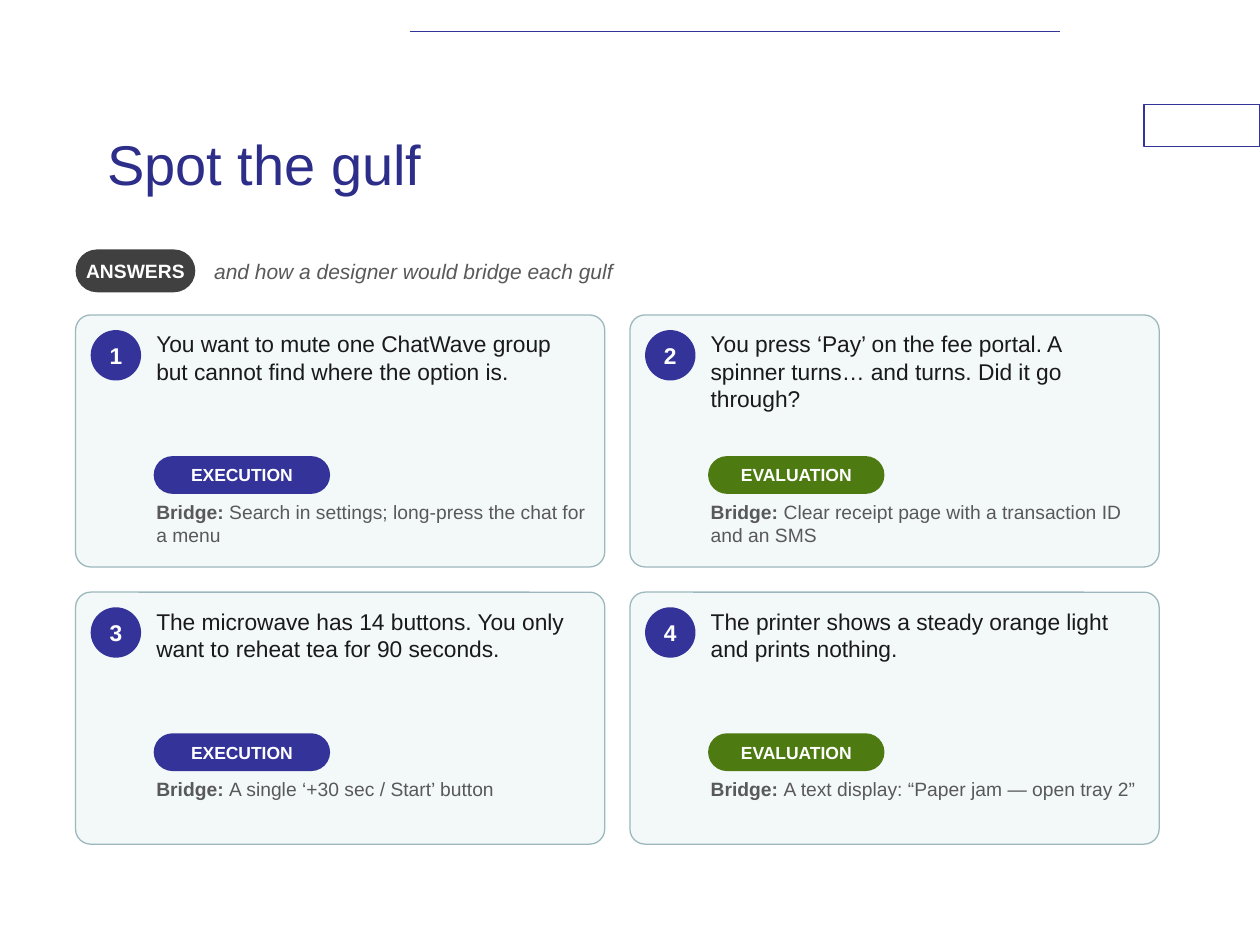
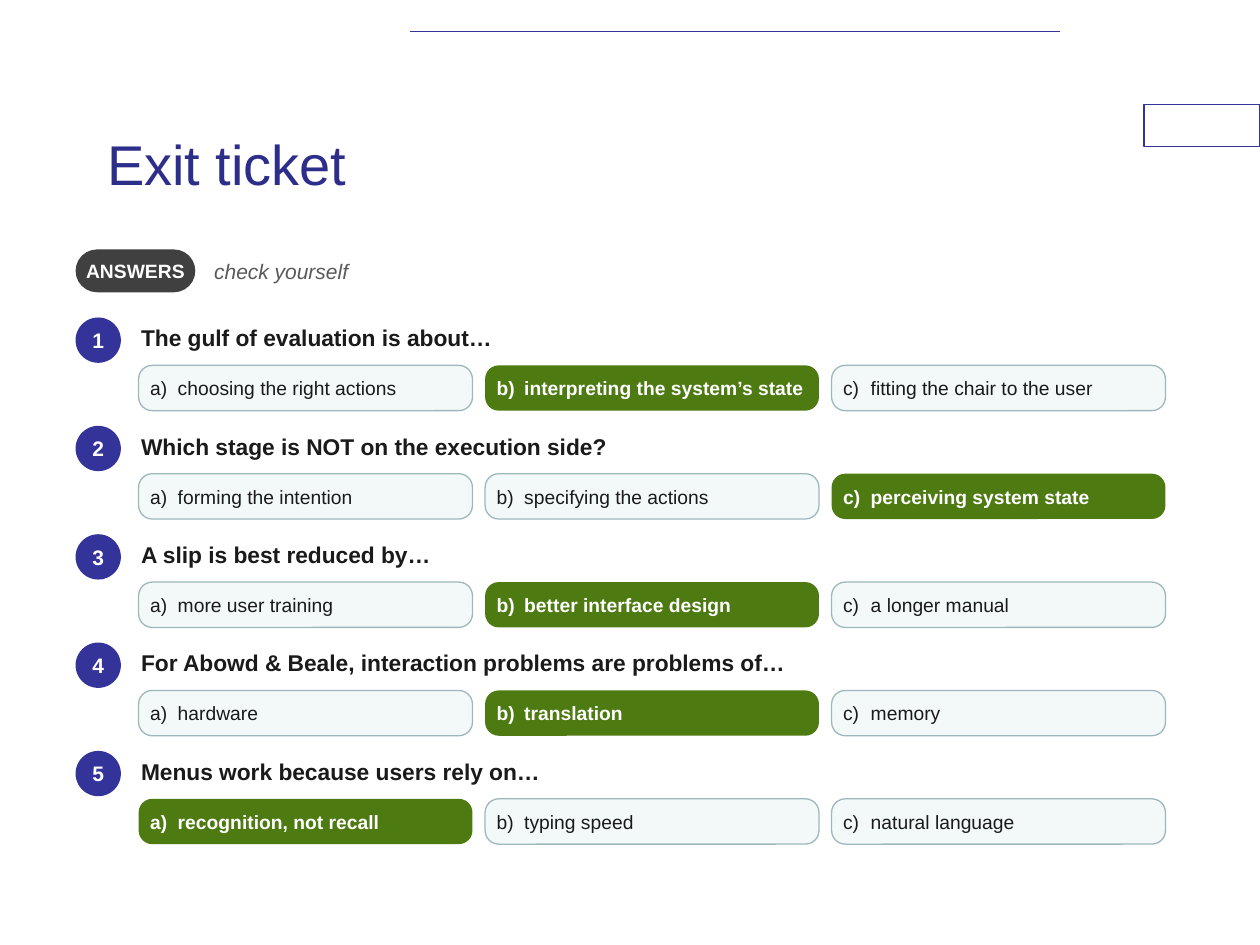
from dataclasses import dataclass

from lxml import etree
from pptx import Presentation
from pptx.dml.color import RGBColor
from pptx.enum import shapes, text
from pptx.oxml import ns
from pptx.util import Pt

FONT = "Arial"
INDIGO = RGBColor(0x33, 0x33, 0x99)
TITLE_INDIGO = RGBColor(0x2D, 0x2D, 0x8A)
GREEN = RGBColor(0x4E, 0x7A, 0x12)
CHARCOAL = RGBColor(0x40, 0x40, 0x40)
GREY = RGBColor(0x59, 0x59, 0x59)
INK = RGBColor(0x1A, 0x1A, 0x1A)
PALE = RGBColor(0xF3, 0xF8, 0xF9)
EDGE = RGBColor(0x9D, 0xB8, 0xBC)
WHITE = RGBColor(0xFF, 0xFF, 0xFF)

LEFT = 43.2
THIN_INSET = 1.44


@dataclass(frozen=True)
class Box:
    left: float
    top: float
    width: float
    height: float

    def lengths(self) -> tuple:
        return Pt(self.left), Pt(self.top), Pt(self.width), Pt(self.height)


@dataclass(frozen=True)
class Style:
    size: float
    color: RGBColor
    bold: bool = False
    italic: bool = False


@dataclass(frozen=True)
class Situation:
    description: str
    gulf: str
    bridge: str


@dataclass(frozen=True)
class Question:
    prompt: str
    options: tuple[str, str, str]
    correct: int


GULF_COLORS = {"EXECUTION": INDIGO, "EVALUATION": GREEN}

SITUATIONS = [
    Situation("You want to mute one ChatWave group but cannot find where the option is.",
              "EXECUTION", "Search in settings; long-press the chat for a menu"),
    Situation("You press ‘Pay’ on the fee portal. A spinner turns… and turns. "
              "Did it go through?",
              "EVALUATION", "Clear receipt page with a transaction ID and an SMS"),
    Situation("The microwave has 14 buttons. You only want to reheat tea for 90 seconds.",
              "EXECUTION", "A single ‘+30 sec / Start’ button"),
    Situation("The printer shows a steady orange light and prints nothing.",
              "EVALUATION", "A text display: “Paper jam — open tray 2”"),
]

QUESTIONS = [
    Question("The gulf of evaluation is about…",
             ("choosing the right actions", "interpreting the system’s state",
              "fitting the chair to the user"), 1),
    Question("Which stage is NOT on the execution side?",
             ("forming the intention", "specifying the actions",
              "perceiving system state"), 2),
    Question("A slip is best reduced by…",
             ("more user training", "better interface design", "a longer manual"), 1),
    Question("For Abowd & Beale, interaction problems are problems of…",
             ("hardware", "translation", "memory"), 1),
    Question("Menus work because users rely on…",
             ("recognition, not recall", "typing speed", "natural language"), 0),
]


# Text and shape helpers
def format_run(run, style: Style) -> None:
    run.font.name = FONT
    run.font.size = Pt(style.size)
    run.font.color.rgb = style.color
    run.font.bold = style.bold
    run.font.italic = style.italic


def write(shape, content: str, style: Style, inset: float = THIN_INSET,
          centred: bool = False, middle: bool = True):
    """Fill a shape with one formatted paragraph and return that paragraph."""
    frame = shape.text_frame
    frame.text = content
    frame.word_wrap = True
    frame.auto_size = text.MSO_AUTO_SIZE.NONE
    frame.margin_left = frame.margin_right = Pt(inset)
    frame.margin_top = frame.margin_bottom = Pt(inset)
    frame.vertical_anchor = text.MSO_ANCHOR.MIDDLE if middle else text.MSO_ANCHOR.TOP
    paragraph = frame.paragraphs[0]
    paragraph.alignment = text.PP_ALIGN.CENTER if centred else text.PP_ALIGN.LEFT
    format_run(paragraph.runs[0], style)
    return paragraph


def add_label(slide, box: Box, content: str, style: Style, middle: bool = True):
    return write(slide.shapes.add_textbox(*box.lengths()), content, style, middle=middle)


def add_figure(slide, kind, box: Box, fill: RGBColor,
               line: RGBColor | None = None, rounding: float | None = None):
    shape = slide.shapes.add_shape(kind, *box.lengths())
    shape.shadow.inherit = False
    shape.fill.solid()
    shape.fill.fore_color.rgb = fill
    if line is None:
        shape.line.fill.background()
    else:
        shape.line.color.rgb = line
        shape.line.width = Pt(0.75)
    if rounding is not None:
        shape.adjustments[0] = rounding
    return shape


def add_rounded(slide, box: Box, fill: RGBColor, rounding: float,
                line: RGBColor | None = None):
    return add_figure(slide, shapes.MSO_SHAPE.ROUNDED_RECTANGLE, box, fill, line, rounding)


def add_pill(slide, box: Box, fill: RGBColor, content: str, size: float,
             inset: float = THIN_INSET) -> None:
    pill = add_rounded(slide, box, fill, 0.5)
    write(pill, content, Style(size, WHITE, bold=True), inset, centred=True)


def add_number(slide, left: float, top: float, diameter: float,
               number: int, size: float) -> None:
    disc = add_figure(slide, shapes.MSO_SHAPE.OVAL,
                      Box(left, top, diameter, diameter), INDIGO)
    write(disc, str(number), Style(size, WHITE, bold=True), 0, centred=True)


def add_tab_stop(paragraph, position: float) -> None:
    properties = paragraph._p.get_or_add_pPr()
    tabs = etree.SubElement(properties, ns.qn("a:tabLst"))
    etree.SubElement(tabs, ns.qn("a:tab"), pos=str(Pt(position)), algn="l")


# Frame shared by both slides
def add_answer_slide(presentation, title: str, subtitle: str):
    slide = presentation.slides.add_slide(presentation.slide_layouts[5])
    add_figure(slide, shapes.MSO_SHAPE.RECTANGLE, Box(653.76, 59.8, 66.24, 24),
               WHITE, INDIGO)
    rule = slide.shapes.add_connector(shapes.MSO_CONNECTOR.STRAIGHT,
                                      Pt(234), Pt(18), Pt(606), Pt(18))
    rule.line.color.rgb = INDIGO
    rule.line.width = Pt(1)
    etree.SubElement(rule._element.spPr, ns.qn("a:effectLst"))

    heading = slide.shapes.title
    heading.left, heading.top, heading.width, heading.height = Box(54, 48, 540, 90).lengths()
    write(heading, title, Style(32, TITLE_INDIGO), 7.2)

    add_pill(slide, Box(LEFT, 142.56, 68.4, 24.48), CHARCOAL, "ANSWERS", 11, 2.16)
    add_label(slide, Box(120.96, 142.56, 432, 24.48), subtitle,
              Style(12, GREY, italic=True))
    return slide


# Slide 1: cards in a two-by-two grid
def add_situation_card(slide, number: int, situation: Situation, box: Box) -> None:
    add_rounded(slide, box, PALE, 0.06, EDGE)
    add_number(slide, box.left + 8.64, box.top + 8.64, 28.8, number, 13)
    text_left, text_width = box.left + 44.64, 248.4
    add_label(slide, Box(text_left, box.top + 7.2, text_width, 72),
              situation.description, Style(13, INK), middle=False)
    add_pill(slide, Box(text_left, box.top + 80.64, 100.8, 21.6),
             GULF_COLORS[situation.gulf], situation.gulf, 10)
    paragraph = add_label(slide, Box(text_left, box.top + 104.4, text_width, 36),
                          "Bridge: ", Style(11, GREY, bold=True), middle=False)
    run = paragraph.add_run()
    run.text = situation.bridge
    format_run(run, Style(11, GREY))


def build_gulf_slide(presentation) -> None:
    slide = add_answer_slide(presentation, "Spot the gulf",
                             "and how a designer would bridge each gulf")
    width, height, gap = 302.4, 144, 14.4
    for index, situation in enumerate(SITUATIONS):
        row, column = divmod(index, 2)
        box = Box(LEFT + column * (width + gap), 180 + row * (height + gap), width, height)
        add_situation_card(slide, index + 1, situation, box)


# Slide 2: questions with three options each
def add_option(slide, letter: str, option: str, box: Box, correct: bool) -> None:
    shape = add_rounded(slide, box, GREEN if correct else PALE, 0.3,
                        None if correct else EDGE)
    style = Style(11, WHITE if correct else INK, bold=correct)
    paragraph = write(shape, f"{letter})\t{option}", style, 4.32)
    add_tab_stop(paragraph, 15.8)


def build_exit_slide(presentation) -> None:
    slide = add_answer_slide(presentation, "Exit ticket", "check yourself")
    text_left, row_height, pitch = 79.2, 25.92, 61.92
    option_width, gap = 190.8, 7.2
    for index, question in enumerate(QUESTIONS):
        top = 180 + index * pitch
        add_number(slide, LEFT, top + THIN_INSET, row_height, index + 1, 12)
        add_label(slide, Box(text_left, top, 590.4, row_height), question.prompt,
                  Style(13, INK, bold=True))
        for column, (letter, option) in enumerate(zip("abc", question.options)):
            box = Box(text_left + column * (option_width + gap), top + 28.8,
                      option_width, row_height)
            add_option(slide, letter, option, box, column == question.correct)


def main() -> None:
    presentation = Presentation()
    presentation.slide_width, presentation.slide_height = Pt(720), Pt(540)
    build_gulf_slide(presentation)
    build_exit_slide(presentation)
    presentation.save("out.pptx")


if __name__ == "__main__":
    main()
